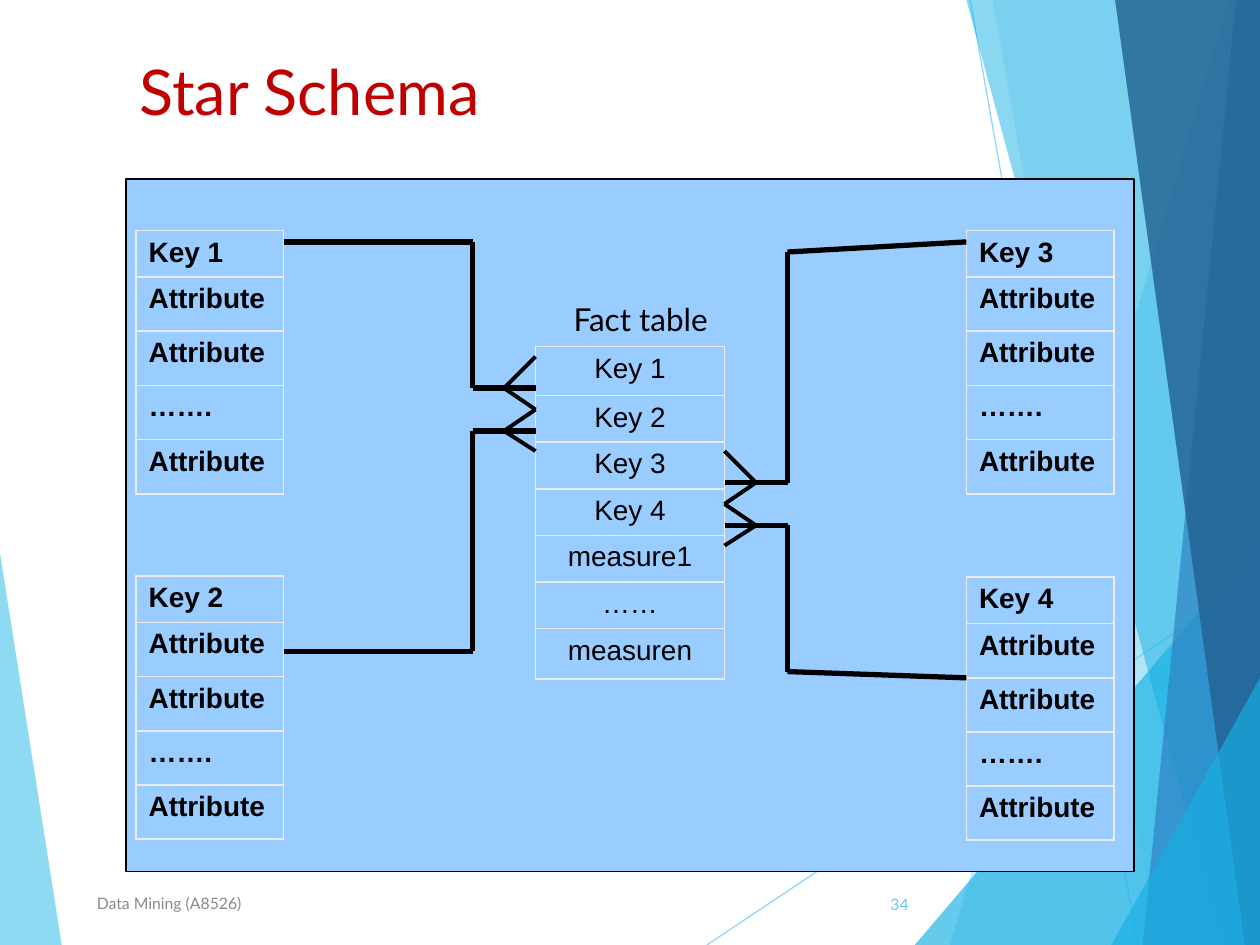
from lxml import etree
from pptx import Presentation
from pptx.dml.color import RGBColor
from pptx.enum.shapes import MSO_CONNECTOR, MSO_SHAPE
from pptx.enum.text import MSO_ANCHOR, PP_ALIGN
from pptx.oxml.ns import qn
from pptx.util import Inches, Pt

STRAIGHT = MSO_CONNECTOR.STRAIGHT
RECTANGLE = MSO_SHAPE.RECTANGLE
TOP, MIDDLE = MSO_ANCHOR.TOP, MSO_ANCHOR.MIDDLE
LEFT, CENTER, RIGHT = PP_ALIGN.LEFT, PP_ALIGN.CENTER, PP_ALIGN.RIGHT

BLACK = RGBColor(0x00, 0x00, 0x00)
RED = RGBColor(0xC0, 0x00, 0x00)
GREY = RGBColor(0x89, 0x89, 0x89)
PANEL_BLUE = RGBColor(0x99, 0xCC, 0xFF)
SKY = RGBColor(0x5F, 0xCB, 0xEF)
CYAN = RGBColor(0x17, 0xB0, 0xE4)
BLUE = RGBColor(0x2E, 0x83, 0xC3)
NAVY = RGBColor(0x23, 0x62, 0x92)
BORDER = "EBEBEB"

deck = Presentation()
deck.slide_width, deck.slide_height = Inches(10), Inches(7.5)
page = deck.slides.add_slide(deck.slide_layouts[6])


def add_line(start, end, color, width):
    line = page.shapes.add_connector(STRAIGHT, *map(Inches, start + end))
    line.line.color.rgb = color
    line.line.width = Pt(width)
    etree.SubElement(line._element.spPr, qn("a:effectLst"))
    return line


def set_alpha(shape, percent):
    """Make the shape's only solid colour partly transparent."""
    color = shape._element.spPr.find(".//" + qn("a:srgbClr"))
    etree.SubElement(color, qn("a:alpha"), val=str(percent * 1000))


# Background facets
for start, end in [((5.61, 7.5), (10, 4.57)), ((7.7, 0), (9.03, 7.5))]:
    set_alpha(add_line(start, end, SKY, 0.75), 70)

facets = [
    (SKY, 70, [(0, 4.39), (0.49, 7.5), (0, 7.5)]),
    (SKY, 36, [(9.75, 0), (7.54, 7.5), (10, 7.5), (10, 0)]),
    (SKY, 20, [(7.88, 0), (9.19, 7.5), (10, 7.5), (10, 0)]),
    (CYAN, 66, [(7.26, 7.5), (10, 4.29), (10, 7.5)]),
    (CYAN, 50, [(7.67, 0), (9.7, 7.5), (10, 7.5), (10, 0)]),
    (BLUE, 70, [(9.81, 0), (9.07, 7.5), (10, 7.5), (10, 0)]),
    (NAVY, 82, [(8.85, 0), (9.88, 7.5), (10, 7.5), (10, 0)]),
    (CYAN, 66, [(8.82, 7.5), (10, 5.38), (10, 7.5)]),
]
for color, alpha, corners in facets:
    points = [(Inches(x), Inches(y)) for x, y in corners]
    builder = page.shapes.build_freeform(*points[0])
    builder.add_line_segments(points[1:], close=True)
    facet = builder.convert_to_shape()
    facet.shadow.inherit = False
    facet.fill.solid()
    facet.fill.fore_color.rgb = color
    facet.line.fill.background()
    set_alpha(facet, alpha)

# Diagram panel
panel = page.shapes.add_shape(RECTANGLE, Inches(1), Inches(1.42), Inches(8), Inches(5.5))
panel.shadow.inherit = False
panel.fill.solid()
panel.fill.fore_color.rgb = PANEL_BLUE
panel.line.color.rgb = BLACK
panel.line.width = Pt(0.75)

# Title, footer and fact table caption
labels = [
    ("Star Schema", (1.01, 0.37, 6.94, 1.44), 36, RED, LEFT, TOP),
    ("Data Mining (A8526)", (0.67, 6.97, 5.06, 0.4), 9, GREY, LEFT, MIDDLE),
    ("34", (6.75, 6.98, 0.56, 0.4), 9, SKY, RIGHT, MIDDLE),
    ("Fact table", (3.92, 2.33, 2.33, 0.4), 18, BLACK, CENTER, TOP),
]
for text, place, size, color, align, anchor in labels:
    box = page.shapes.add_textbox(*map(Inches, place))
    box.text_frame.word_wrap = True
    box.text_frame.vertical_anchor = anchor
    para = box.text_frame.paragraphs[0]
    para.alignment = align
    span = para.add_run()
    span.text = text
    span.font.color.rgb = color
    for name, value in {"name": "Lato", "size": Pt(size)}.items():
        setattr(span.font, name, value)

# Dimension tables around the fact table
DIMENSION_ROWS = [0.37, 0.43, 0.43, 0.43, 0.43]
FACT_ROWS = [0.39, 0.37, 0.37, 0.37, 0.37, 0.37, 0.4]
corners = [("Key 1", 1.08, 1.83), ("Key 2", 1.08, 4.57),
           ("Key 3", 7.67, 1.83), ("Key 4", 7.67, 4.58)]
tables = [
    (x, y, 1.17, DIMENSION_ROWS, [key, "Attribute", "Attribute", "…….", "Attribute"], LEFT, True)
    for key, x, y in corners
]
fact_fields = [key for key, x, y in corners] + ["measure1", "……", "measuren"]
tables.append((4.25, 2.75, 1.5, FACT_ROWS, fact_fields, CENTER, False))

for x, y, width, heights, fields, align, bold in tables:
    table = page.shapes.add_table(
        len(fields), 1, Inches(x), Inches(y), Inches(width), Inches(sum(heights))).table
    table.first_row = table.horz_banding = False
    for row, height, field in zip(table.rows, heights, fields):
        row.height = Inches(height)
        cell = row.cells[0]
        para = cell.text_frame.paragraphs[0]
        para.alignment = align
        span = para.add_run()
        span.text = field
        span.font.color.rgb = BLACK
        for name, value in {"name": "Arial", "size": Pt(16), "bold": bold}.items():
            setattr(span.font, name, value)
        properties = cell._tc.get_or_add_tcPr()
        for side in ("a:lnL", "a:lnR", "a:lnT", "a:lnB"):
            edge = etree.SubElement(properties, qn(side), w=str(Pt(1.08)))
            fill = etree.SubElement(edge, qn("a:solidFill"))
            etree.SubElement(fill, qn("a:srgbClr"), val=BORDER)
        cell.fill.background()

# Relationships: a bent line from each dimension to the fact table,
# ending in a crow's foot whose toes reach the given heights
relations = [
    ((2.25, 1.92), (3.75, 1.92), 3.08, 4.25, (2.83, 3.25)),
    ((2.25, 5.17), (3.75, 5.17), 3.42, 4.25, (3.25, 3.58)),
    ((7.67, 1.92), (6.25, 2), 3.83, 5.75, (3.58, 4)),
    ((7.67, 5.38), (6.25, 5.33), 4.17, 5.75, (4, 4.33)),
]
for start, bend, key_y, fact_x, toes in relations:
    route = [start, bend, (bend[0], key_y), (fact_x, key_y)]
    for first, second in zip(route, route[1:]):
        add_line(first, second, BLACK, 3)
    heel = ((bend[0] + fact_x) / 2, key_y)
    for toe_y in toes:
        add_line((fact_x, toe_y), heel, BLACK, 2.25)

deck.save("out.pptx")
